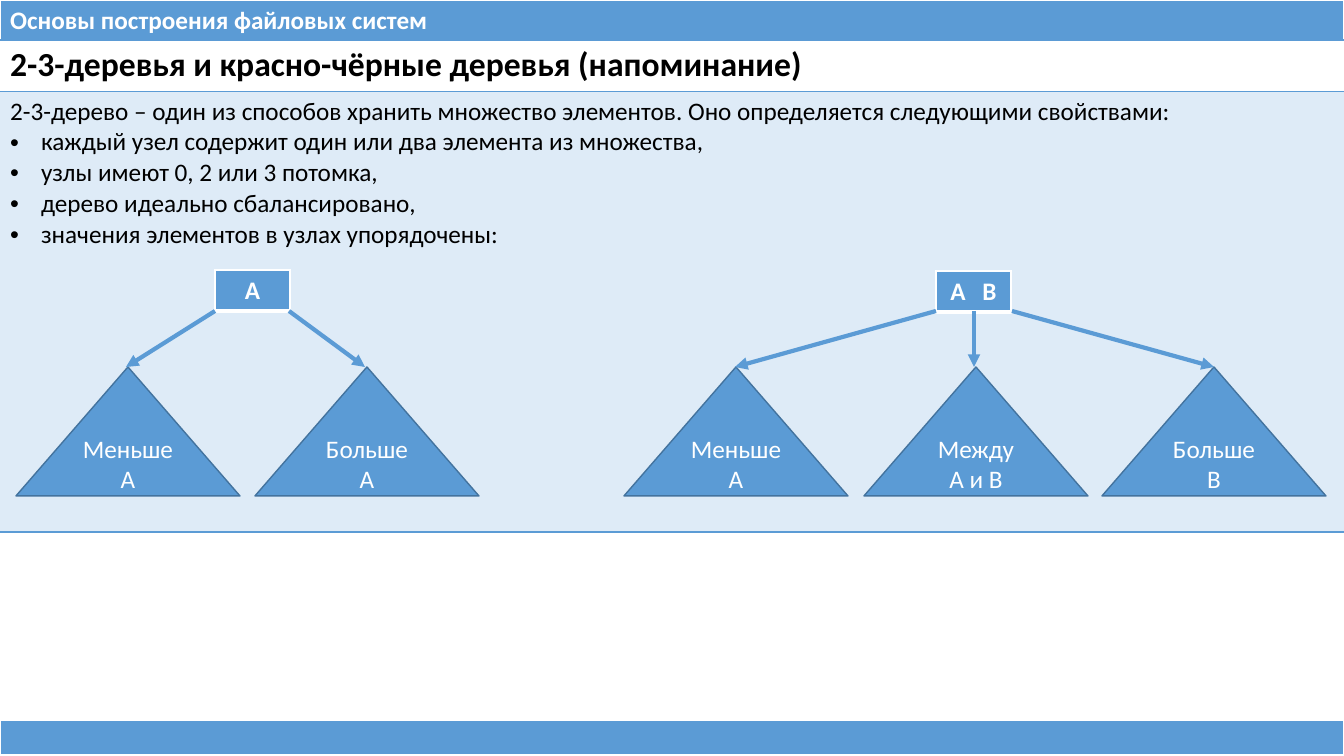
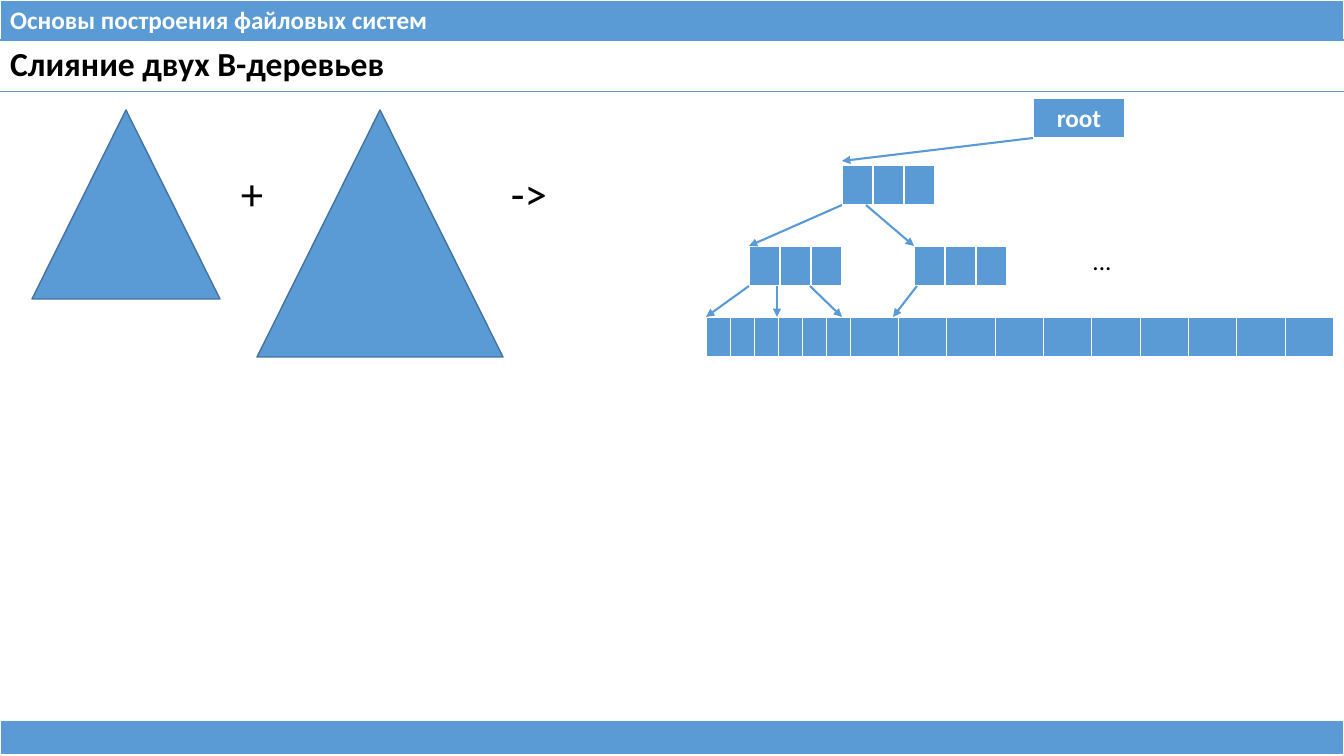
"""Build two slides on 2-3 trees and on merging B-trees."""
from pptx import Presentation
from pptx.dml.color import RGBColor
from pptx.enum.shapes import MSO_CONNECTOR, MSO_SHAPE
from pptx.enum.text import MSO_ANCHOR, PP_ALIGN
from pptx.oxml import parse_xml
from pptx.oxml.ns import nsdecls, qn
from pptx.util import Pt

PX = 9071
WIDE, TALL = 1344, 756
BLUE = RGBColor(0x5B, 0x9B, 0xD5)
NAVY = RGBColor(0x43, 0x73, 0x9E)
PALE = RGBColor(0xDE, 0xEB, 0xF7)
WHITE = RGBColor(0xFF, 0xFF, 0xFF)
BLACK = RGBColor(0, 0, 0)
LEFT, CENTER = PP_ALIGN.LEFT, PP_ALIGN.CENTER
MIDDLE = MSO_ANCHOR.MIDDLE
TRIANGLE = MSO_SHAPE.ISOSCELES_TRIANGLE
STRAIGHT = MSO_CONNECTOR.STRAIGHT
PLAIN = "{2D5ABB26-0587-4C30-8999-92F81FD0307C}"

BASE = {"name": "Calibri", "size": Pt(18), "bold": False}
BOLD = {**BASE, "bold": True}
TITLE = {**BOLD, "size": Pt(24)}
SIGN = {**BASE, "size": Pt(32)}
FRAME = {"L": (WHITE, 1), "R": (WHITE, 1), "T": (WHITE, 1), "B": (WHITE, 3)}
RULES = {"T": (BLUE, 1), "B": (BLUE, 1)}


def write(frame, text, look, color, align):
    """Fill a text frame and style each run."""
    frame.text = text
    for para in frame.paragraphs:
        para.alignment = align
        for run in para.runs:
            for key, value in look.items():
                setattr(run.font, key, value)
            run.font.color.rgb = color


def grid(page, x, y, cols, rows, edges):
    """Add a table; each row gives height, text, look, color, align and fill."""
    high = sum(row[0] for row in rows)
    table = page.shapes.add_table(len(rows), len(cols), x * PX, y * PX,
                                  sum(cols) * PX, high * PX).table
    table.first_row = table.horz_banding = False
    table._tbl.tblPr.find(qn("a:tableStyleId")).text = PLAIN
    for col, width in zip(table.columns, cols):
        col.width = width * PX
    for line, (height, text, look, color, align, fill) in zip(table.rows, rows):
        line.height = height * PX
        for cell in line.cells:
            write(cell.text_frame, text, look, color, align)
            if fill is None:
                cell.fill.background()
            else:
                cell.fill.solid()
                cell.fill.fore_color.rgb = fill
            props = cell._tc.get_or_add_tcPr()
            for spot, (side, (tint, width)) in enumerate(edges.items()):
                props.insert(spot, parse_xml(
                    f'<a:ln{side} {nsdecls("a")} w="{Pt(width)}"><a:solidFill>'
                    f'<a:srgbClr val="{tint}"/></a:solidFill></a:ln{side}>'))
    return table


deck = Presentation()
deck.slide_width, deck.slide_height = WIDE * PX, TALL * PX
tree, merge = [deck.slides.add_slide(deck.slide_layouts[6]) for _ in range(2)]

points = [
    "2-3-дерево – один из способов хранить множество элементов. "
    "Оно определяется следующими свойствами:",
    "каждый узел содержит один или два элемента из множества,",
    "узлы имеют 0, 2 или 3 потомка,",
    "дерево идеально сбалансировано,",
    "значения элементов в узлах упорядочены:",
]
body = (441, "\n".join(points), BASE, BLACK, LEFT, PALE)
heads = [
    (tree, "2-3-деревья и красно-чёрные деревья (напоминание)", [body]),
    (merge, "Слияние двух B-деревьев", []),
]
for page, title, extra in heads:
    grid(page, 0, 0, [WIDE], [(40, "Основы построения файловых систем",
                               BOLD, WHITE, LEFT, BLUE)], FRAME)
    foot = grid(page, 0, 720, [WIDE],
                [(36, "", BOLD, WHITE, LEFT, BLUE)], FRAME).cell(0, 0)
    foot.margin_top = foot.margin_bottom = 0
    panel = grid(page, 0, 40, [WIDE],
                 [(51, title, TITLE, BLACK, LEFT, None)] + extra, RULES)
    if extra:
        for para in panel.cell(1, 0).text_frame.paragraphs[1:]:
            props = para._p.get_or_add_pPr()
            props.set("marL", str(31 * PX))
            props.set("indent", str(-31 * PX))
            props.append(parse_xml(f'<a:buFont {nsdecls("a")} typeface="Arial"/>'))
            props.append(parse_xml(f'<a:buChar {nsdecls("a")} char="•"/>'))

leaves = [24] * 6 + [48, 48, 49] * 3 + [48]
trio = [31] * 3
nodes = [
    (tree, 215, 270, [75], "A"),
    (tree, 936, 271, [75], "A B"),
    (merge, 706, 317, leaves, ""),
    (merge, 749, 246, trio, ""),
    (merge, 914, 246, trio, ""),
    (merge, 842, 165, trio, ""),
    (merge, 1033, 98, [92], "root"),
]
for page, x, y, cols, text in nodes:
    node = grid(page, x, y, cols, [(41, text, BOLD, WHITE, CENTER, BLUE)], FRAME)
    if text == "A B":
        pair = node.cell(0, 0).text_frame.paragraphs[0].runs[0]
        pair._r.get_or_add_rPr().set("spc", "400")

peaks = [
    (tree, 16, 367, 224, 129, "Меньше A"),
    (tree, 255, 367, 224, 129, "Больше A"),
    (tree, 624, 367, 224, 129, "Меньше A"),
    (tree, 864, 367, 224, 129, "Между A и B"),
    (tree, 1102, 367, 224, 129, "Больше\vB"),
    (merge, 32, 110, 188, 189, ""),
    (merge, 257, 110, 246, 247, ""),
]
for page, x, y, width, height, text in peaks:
    peak = page.shapes.add_shape(TRIANGLE, x * PX, y * PX, width * PX, height * PX)
    peak.shadow.inherit = False
    peak.fill.solid()
    peak.fill.fore_color.rgb = BLUE
    peak.line.color.rgb = NAVY
    peak.line.width = Pt(1)
    peak.text_frame.vertical_anchor = MIDDLE
    write(peak.text_frame, text, BASE, WHITE, CENTER)

signs = [
    (231, 161, 43, 64, "+", SIGN, LEFT, False),
    (501, 161, 56, 64, "->", SIGN, LEFT, False),
    (1080, 240, 44, 41, "...", BASE, CENTER, True),
]
for x, y, width, height, text, look, align, wrap in signs:
    box = merge.shapes.add_textbox(x * PX, y * PX, width * PX, height * PX)
    box.text_frame.word_wrap = wrap
    box.text_frame.vertical_anchor = MIDDLE
    write(box.text_frame, text, look, BLACK, align)

arrows = [
    (tree, 3, [(215, 311, 126, 367), (289, 311, 365, 367), (936, 311, 735, 367),
               (974, 311, 974, 367), (1012, 311, 1214, 367)]),
    (merge, 1.5, [(749, 286, 706, 317), (777, 286, 777, 317),
                  (810, 286, 842, 317), (917, 286, 893, 317),
                  (842, 205, 749, 246), (866, 205, 914, 246),
                  (1033, 138, 842, 161)]),
]
for page, weight, spans in arrows:
    for span in spans:
        arrow = page.shapes.add_connector(STRAIGHT, *[v * PX for v in span])
        arrow.line.color.rgb = BLUE
        arrow.line.width = Pt(weight)
        props = arrow._element.spPr
        props.find(qn("a:ln")).append(
            parse_xml(f'<a:tailEnd {nsdecls("a")} type="triangle"/>'))
        props.append(parse_xml(f'<a:effectLst {nsdecls("a")}/>'))

deck.save("out.pptx")
